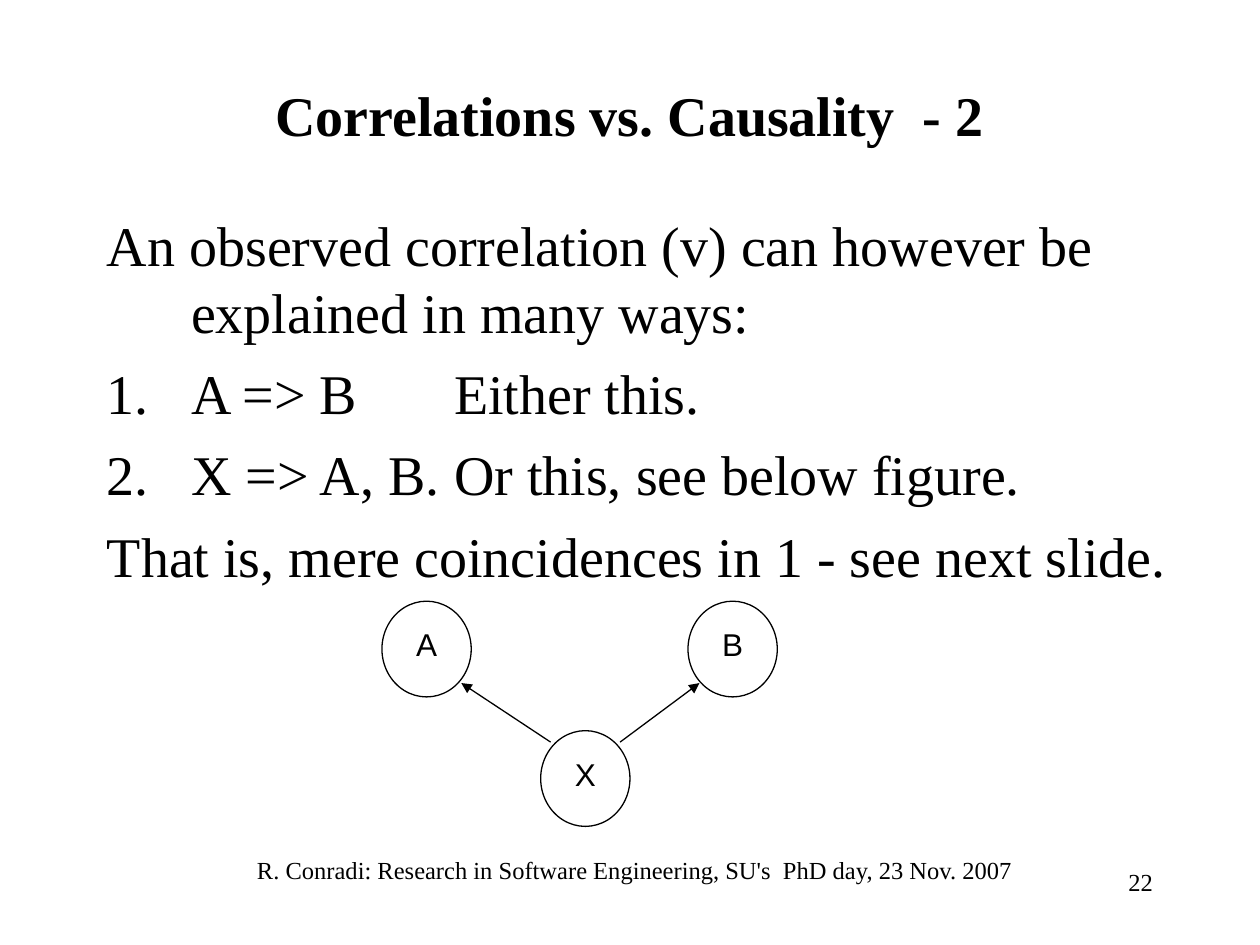
import pptx
import pptx.util
import pptx.dml.color
import pptx.enum.shapes
import pptx.enum.text
import pptx.oxml.ns
from lxml import etree
from pptx.util import Cm

BLACK = pptx.dml.color.RGBColor(0, 0, 0)
WHITE = pptx.dml.color.RGBColor(255, 255, 255)
SERIF = "Times New Roman"
SANS = "Arial"
ALIGN = pptx.enum.text.PP_ALIGN
ANCHOR = pptx.enum.text.MSO_ANCHOR
LINE_WIDTH = pptx.util.Pt(0.75)
CIRCLE_WIDTH, CIRCLE_HEIGHT = 1.8, 1.93

# Text and whether the paragraph is numbered
BODY = [
    ("An observed correlation (v) can however be explained in many ways:", False),
    ("A => B\tEither this.", True),
    ("X => A, B.\tOr this, see below figure.", True),
    ("That is, mere coincidences in 1 - see next slide.", False),
]
# Label, left and top in centimetres
CIRCLES = [("A", 7.7, 12.12), ("B", 13.87, 12.12), ("X", 10.9, 14.73)]
# Start and end points in centimetres
ARROWS = [(11.1, 14.96, 9.3, 13.77), (12.5, 14.96, 14.1, 13.77)]


def add_xml(parent, tag, **attributes):
    return etree.SubElement(parent, pptx.oxml.ns.qn(tag), attributes)


def place(shape, left, top, width, height):
    shape.left, shape.top = Cm(left), Cm(top)
    shape.width, shape.height = Cm(width), Cm(height)


def style_paragraph(para, size, name, align, bold=False):
    para.alignment = align
    for span in para.runs:
        span.font.size = pptx.util.Pt(size)
        span.font.name = name
        span.font.bold = bold
        span.font.color.rgb = BLACK


def fill_title(title):
    place(title, 1.9, 0.71, 21.59, 3.18)
    frame = title.text_frame
    frame.text = "Correlations vs. Causality  - 2"
    frame.auto_size = pptx.enum.text.MSO_AUTO_SIZE.NONE
    frame.vertical_anchor = ANCHOR.MIDDLE
    style_paragraph(frame.paragraphs[0], 32, SERIF, ALIGN.CENTER, bold=True)


def fill_body(body):
    place(body, 1.9, 4.11, 22.4, 9.09)
    frame = body.text_frame
    frame.text = "\n".join(text for text, numbered in BODY)
    frame.auto_size = pptx.enum.text.MSO_AUTO_SIZE.NONE
    for index, (para, (text, numbered)) in enumerate(zip(frame.paragraphs, BODY)):
        # Hanging indent, with numbers and a second column where needed
        properties = para._p.get_or_add_pPr()
        properties.set("marL", str(Cm(1.7)))
        properties.set("indent", str(-Cm(1.7)))
        if numbered:
            add_xml(properties, "a:buFont", typeface="+mj-lt")
            add_xml(properties, "a:buAutoNum", type="arabicPeriod")
            tabs = add_xml(properties, "a:tabLst")
            add_xml(tabs, "a:tab", pos=str(Cm(7)), algn="l")
        else:
            add_xml(properties, "a:buNone")
        para.space_before = pptx.util.Pt(8 if index else 0)
        style_paragraph(para, 32, SERIF, ALIGN.LEFT)


def add_circle(page, label, left, top):
    circle = page.shapes.add_shape(
        pptx.enum.shapes.MSO_SHAPE.OVAL,
        Cm(left), Cm(top), Cm(CIRCLE_WIDTH), Cm(CIRCLE_HEIGHT))
    circle.shadow.inherit = False
    circle.fill.background()
    circle.line.color.rgb = BLACK
    circle.line.width = LINE_WIDTH
    frame = circle.text_frame
    frame.text = label
    frame.word_wrap = False
    frame.vertical_anchor = ANCHOR.MIDDLE
    frame.margin_left = frame.margin_right = frame.margin_top = 0
    frame.margin_bottom = Cm(0.2)
    style_paragraph(frame.paragraphs[0], 18, SANS, ALIGN.CENTER)


def add_arrow(page, *points):
    arrow = page.shapes.add_connector(
        pptx.enum.shapes.MSO_CONNECTOR.STRAIGHT, *map(Cm, points))
    arrow.line.color.rgb = BLACK
    arrow.line.width = LINE_WIDTH
    add_xml(arrow.line._get_or_add_ln(), "a:tailEnd", type="triangle")
    add_xml(arrow._element.spPr, "a:effectLst")


def add_note(page, text, left, top, width, height, align):
    box = page.shapes.add_textbox(Cm(left), Cm(top), Cm(width), Cm(height))
    frame = box.text_frame
    frame.text = text
    frame.word_wrap = True
    style_paragraph(frame.paragraphs[0], 14, SERIF, align)


def main():
    deck = pptx.Presentation()
    deck.slide_width, deck.slide_height = Cm(25.4), Cm(19.05)
    page = deck.slides.add_slide(deck.slide_layouts[1])
    page.background.fill.solid()
    page.background.fill.fore_color.rgb = WHITE

    # Title and list
    fill_title(page.shapes.title)
    fill_body(page.placeholders[1])

    # Figure: X causes both A and B
    for circle in CIRCLES:
        add_circle(page, *circle)
    for arrow in ARROWS:
        add_arrow(page, *arrow)

    # Footer and page number
    add_note(page, "R. Conradi: Research in Software Engineering, SU's  PhD day, 23 Nov. 2007",
             4.7, 17.12, 16.2, 1.4, ALIGN.CENTER)
    add_note(page, "22", 18.21, 17.35, 5.28, 1.27, ALIGN.RIGHT)

    deck.save("out.pptx")


if __name__ == "__main__":
    main()
